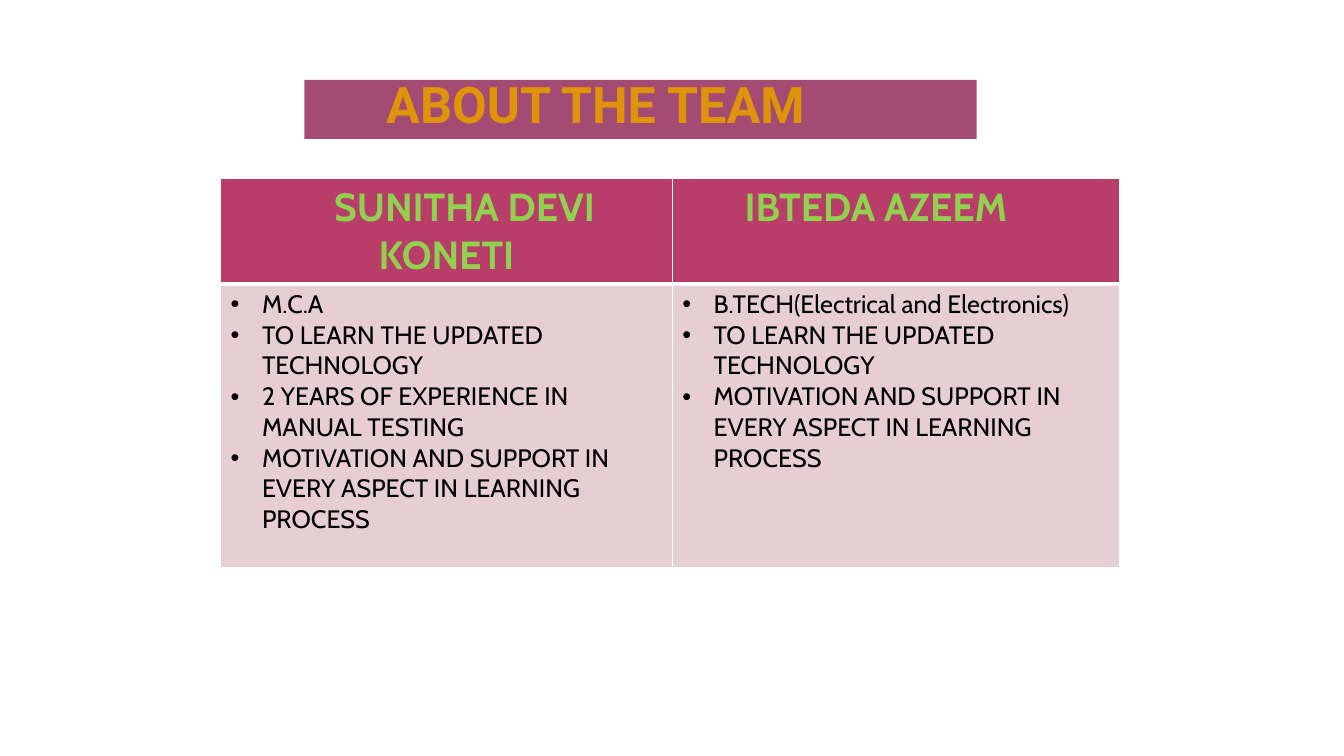
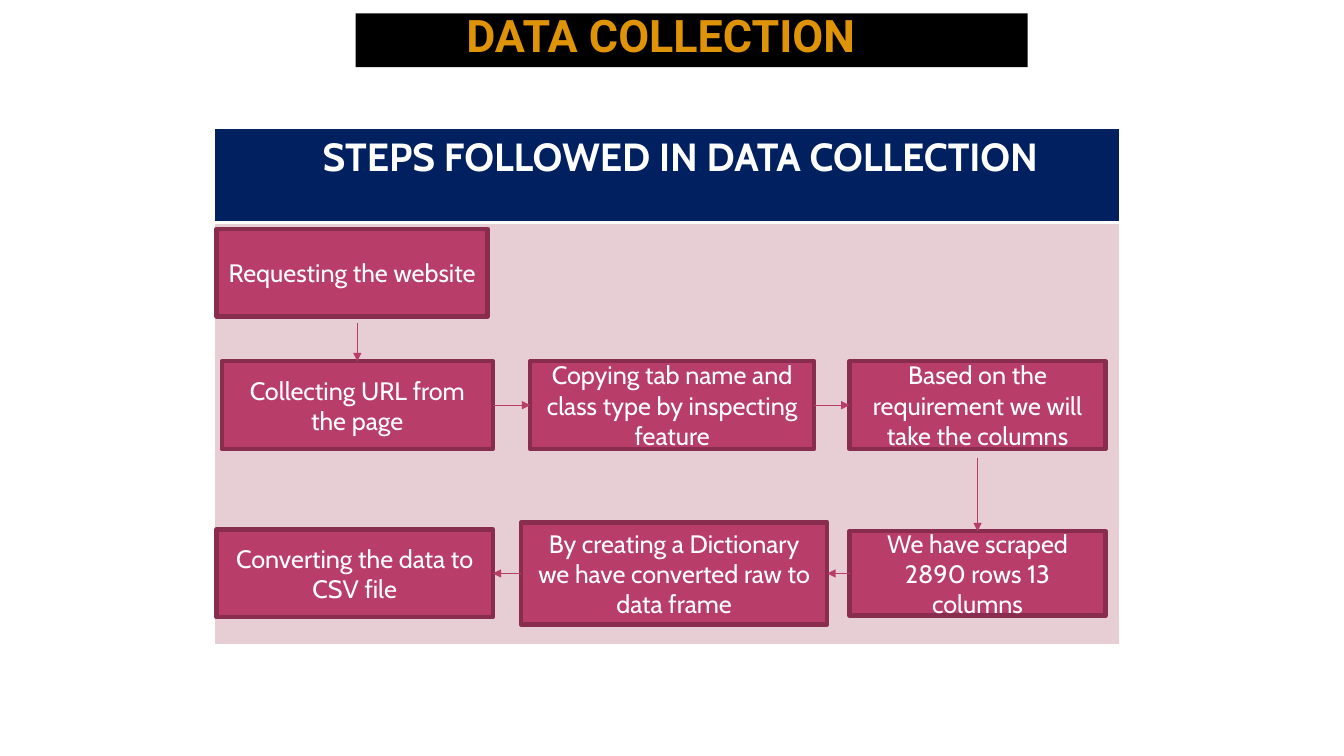
from dataclasses import dataclass

from pptx import Presentation
from pptx.dml.color import RGBColor
from pptx.enum.shapes import MSO_CONNECTOR, MSO_SHAPE
from pptx.enum.text import MSO_ANCHOR, MSO_AUTO_SIZE, PP_ALIGN
from pptx.oxml.ns import qn
from pptx.util import Cm, Pt
from lxml.etree import SubElement


@dataclass(frozen=True)
class Theme:
    title_font: str = "Roboto"
    body_font: str = "Cabin"
    gold: str = "DF9307"
    plum: str = "A34B73"
    berry: str = "B83D68"
    wine: str = "882D4D"
    blush: str = "E6CED4"
    navy: str = "002060"
    green: str = "92D050"
    white: str = "FFFFFF"
    black: str = "000000"
    header_size: int = 28
    body_size: int = 18


THEME = Theme()
TOP, LEFT, BOTTOM, RIGHT = range(4)
STEP_HEIGHT = 2.21
FIRST_ROW, MIDDLE_ROW, LAST_ROW = 6.87, 10.21, 14.45


def color(value):
    return RGBColor.from_string(value)


def fill_with(item, value):
    item.fill.solid()
    item.fill.fore_color.rgb = color(value)


def write_text(frame, *lines, size=THEME.body_size, font=THEME.body_font,
               text_color=THEME.black, bold=False, align=PP_ALIGN.LEFT,
               spacing=None, margin=0, indent=0, bullet=None):
    for index, line in enumerate(lines):
        paragraph = frame.paragraphs[0] if index == 0 else frame.add_paragraph()
        paragraph.text = line
        paragraph.alignment = align
        if spacing:
            paragraph.line_spacing = spacing
        properties = paragraph._p.get_or_add_pPr()
        properties.set("marL", str(Cm(margin)))
        properties.set("indent", str(Cm(indent)))
        if bullet:
            SubElement(properties, qn("a:buFont"), typeface="Arial")
            SubElement(properties, qn("a:buChar"), char=bullet)
        paragraph.font.name = font
        paragraph.font.size = Pt(size)
        paragraph.font.bold = bold
        paragraph.font.color.rgb = color(text_color)


def add_title(slide, text, left, top, height, band, size, inset):
    title = slide.shapes.title
    title.left, title.top = Cm(left), Cm(top)
    title.width, title.height = Cm(16.94), Cm(height)
    fill_with(title, band)
    frame = title.text_frame
    frame.auto_size = MSO_AUTO_SIZE.NONE
    frame.vertical_anchor = MSO_ANCHOR.TOP
    frame.margin_left = Cm(inset)
    write_text(frame, text, size=size, font=THEME.title_font,
               text_color=THEME.gold, bold=True, spacing=0.8)


def add_border(cell, side, width):
    line = SubElement(cell._tc.get_or_add_tcPr(), qn(f"a:ln{side}"), w=str(Pt(width)))
    fill = SubElement(line, qn("a:solidFill"))
    SubElement(fill, qn("a:srgbClr"), val=THEME.white)


def add_panel_table(slide, left, top, columns, rows, header_color):
    frame = slide.shapes.add_table(len(rows), len(columns), Cm(left), Cm(top),
                                   Cm(sum(columns)), Cm(sum(rows)))
    table = frame.table
    table.horz_banding = False
    for column, width in zip(table.columns, columns):
        column.width = Cm(width)
    for row, height in zip(table.rows, rows):
        row.height = Cm(height)
    for is_body, row in enumerate(table.rows):
        for cell in row.cells:
            widths = {"L": 1, "R": 1, "T": 3 if is_body else 1, "B": 1 if is_body else 3}
            for side, width in widths.items():
                add_border(cell, side, width)
            fill_with(cell, THEME.blush if is_body else header_color)
    return table


def write_header(cell, text, **options):
    write_text(cell.text_frame, text, size=THEME.header_size, bold=True, **options)


def add_step(slide, text, left, middle, width, height=STEP_HEIGHT):
    shape = slide.shapes.add_shape(MSO_SHAPE.RECTANGLE, Cm(left), Cm(middle - height / 2),
                                   Cm(width), Cm(height))
    shape.shadow.inherit = False
    fill_with(shape, THEME.berry)
    shape.line.color.rgb = color(THEME.wine)
    shape.line.width = Pt(3.15)
    frame = shape.text_frame
    frame.word_wrap = True
    frame.vertical_anchor = MSO_ANCHOR.MIDDLE
    write_text(frame, text, text_color=THEME.white, align=PP_ALIGN.CENTER)
    return shape


def add_arrow(slide, target, target_side, source=None, source_side=None, start_y=0):
    start_x = target.left + target.width // 2
    connector = slide.shapes.add_connector(MSO_CONNECTOR.STRAIGHT, start_x, Cm(start_y),
                                           start_x, target.top)
    if source is not None:
        connector.begin_connect(source, source_side)
    connector.end_connect(target, target_side)
    connector.line.color.rgb = color(THEME.berry)
    connector.line.width = Pt(0.9)
    SubElement(connector.line._get_or_add_ln(), qn("a:tailEnd"), type="triangle")
    SubElement(connector._element.spPr, qn("a:effectLst"))


def add_slide(presentation):
    return presentation.slides.add_slide(presentation.slide_layouts[5])


def build_team(presentation):
    slide = add_slide(presentation)
    add_title(slide, "ABOUT THE TEAM", 7.67, 2.01, 1.49, THEME.plum, 36, 2.06)
    table = add_panel_table(slide, 5.56, 4.5, [11.38, 11.28], [2.59, 7.14], THEME.berry)
    write_header(table.cell(0, 0), "SUNITHA DEVI KONETI", text_color=THEME.green,
                 align=PP_ALIGN.CENTER, indent=0.91)
    write_header(table.cell(0, 1), "IBTEDA AZEEM", text_color=THEME.green, margin=1.57)
    learning = "TO LEARN THE UPDATED TECHNOLOGY"
    motivation = "MOTIVATION AND SUPPORT IN EVERY ASPECT IN LEARNING PROCESS"
    profiles = [
        ["M.C.A", learning, "2 YEARS OF EXPERIENCE IN MANUAL TESTING", motivation],
        ["B.TECH(Electrical and Electronics)", learning, motivation],
    ]
    for column, profile in enumerate(profiles):
        write_text(table.cell(1, column).text_frame, *profile,
                   margin=0.79, indent=-0.79, bullet="•")


def build_collection(presentation):
    slide = add_slide(presentation)
    add_title(slide, "DATA COLLECTION", 8.96, 0.34, 1.35, THEME.black, 32, 2.79)
    table = add_panel_table(slide, 5.41, 3.23, [22.8], [2.38, 10.64], THEME.navy)
    write_header(table.cell(0, 0), "STEPS FOLLOWED IN DATA COLLECTION",
                 text_color=THEME.white, align=PP_ALIGN.CENTER, indent=0.66)

    add_step(slide, "Requesting the website", 5.46, FIRST_ROW, 6.83)
    urls = add_step(slide, "Collecting URL from the page", 5.59, MIDDLE_ROW, 6.83)
    tabs = add_step(slide, "Copying tab name and class type by inspecting feature",
                    13.36, MIDDLE_ROW, 7.16)
    columns = add_step(slide, "Based on the requirement we will take the columns",
                       21.41, MIDDLE_ROW, 6.45)
    scraped = add_step(slide, "We have scraped 2890 rows 13 columns",
                       21.41, LAST_ROW, 6.45, 2.13)
    dictionary = add_step(slide, "By creating a Dictionary we have converted raw to data frame",
                          13.13, LAST_ROW, 7.72, 2.57)
    csv_file = add_step(slide, "Converting the data to CSV file", 5.46, LAST_ROW, 6.96)

    add_arrow(slide, urls, TOP, start_y=8.15)
    add_arrow(slide, tabs, LEFT, urls, RIGHT)
    add_arrow(slide, columns, LEFT, tabs, RIGHT)
    add_arrow(slide, scraped, TOP, start_y=11.53)
    add_arrow(slide, dictionary, RIGHT, scraped, LEFT)
    add_arrow(slide, csv_file, RIGHT, dictionary, LEFT)


def main():
    presentation = Presentation()
    presentation.slide_width, presentation.slide_height = Cm(33.87), Cm(19.05)
    build_team(presentation)
    build_collection(presentation)
    presentation.save("out.pptx")


if __name__ == "__main__":
    main()
